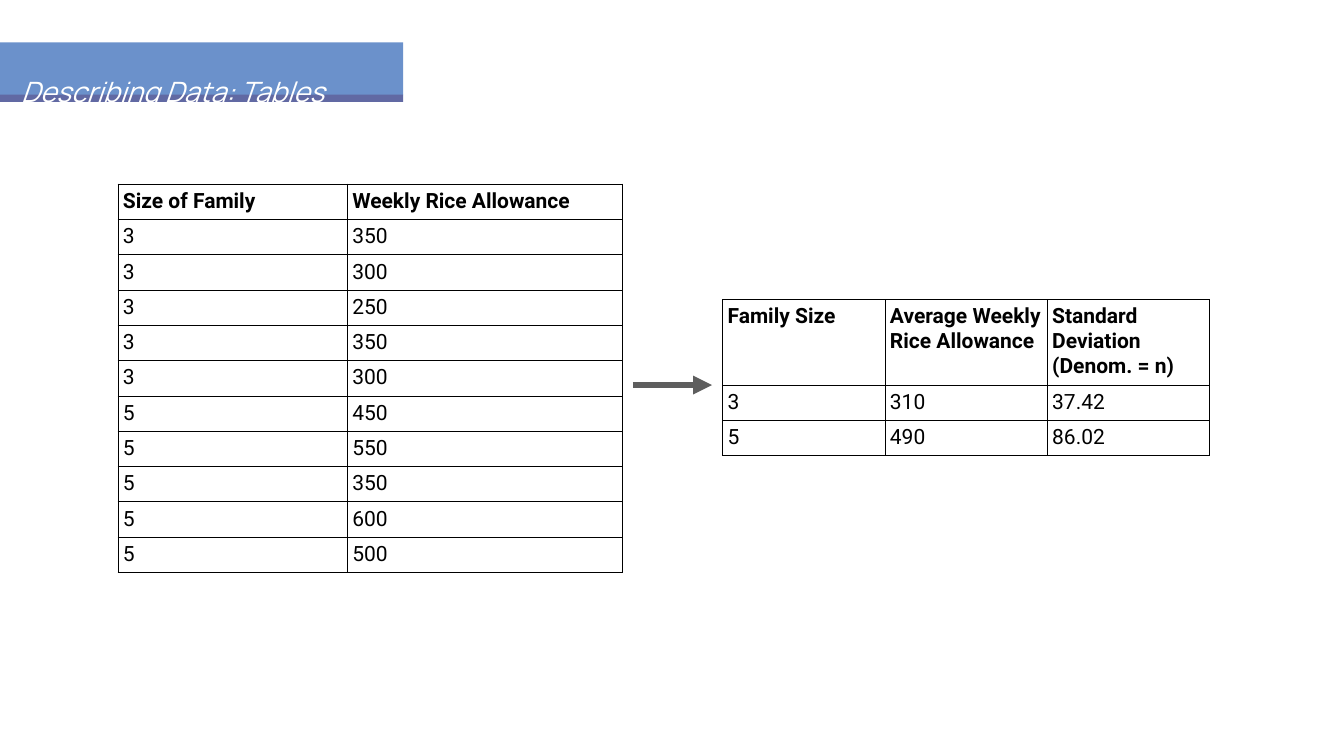
from lxml import etree
from pptx import Presentation
from pptx import util as u
from pptx.dml.color import RGBColor
from pptx.enum import shapes, text
from pptx.oxml import ns

WHITE = RGBColor(0xFF, 0xFF, 0xFF)
BLACK = RGBColor(0, 0, 0)
BLUE = RGBColor(0x6B, 0x91, 0xCB)
PURPLE = RGBColor(0x61, 0x69, 0xA3)
GREY = RGBColor(0x5E, 0x5E, 0x5E)


class Page:
    head_font = "Manrope"
    body_font = "Roboto"
    head_size = u.Pt(40)
    body_size = u.Pt(30)
    rule = u.Pt(0.75)

    def __init__(self, slide):
        self.slide = slide

    def banner(self, bars):
        group = self.slide.shapes.add_group_shape()
        for box, color in bars:
            bar = group.shapes.add_shape(
                shapes.MSO_SHAPE.RECTANGLE, *map(u.Inches, box))
            bar.shadow.inherit = False
            bar.fill.solid()
            bar.fill.fore_color.rgb = color
            bar.line.fill.background()

    def title(self, box, words):
        frame = self.slide.shapes.add_textbox(*map(u.Inches, box)).text_frame
        frame.word_wrap = True
        frame.vertical_anchor = text.MSO_ANCHOR.MIDDLE
        frame.margin_left = frame.margin_right = u.Inches(0.06)
        frame.margin_top = frame.margin_bottom = u.Inches(0.06)
        line = frame.paragraphs[0]
        line.text = words
        line.line_spacing = 1.73
        self.style(line, self.head_font, self.head_size, WHITE)
        line.font.italic = True

    def style(self, line, name, size, color):
        line.font.name = name
        line.font.size = size
        line.font.color.rgb = color

    def table(self, left, top, widths, height, rows):
        table = self.slide.shapes.add_table(
            len(rows), len(widths), u.Inches(left), u.Inches(top),
            u.Inches(sum(widths)), u.Inches(height * len(rows))).table
        table.first_row = table.horz_banding = False
        for col, width in zip(table.columns, widths):
            col.width = u.Inches(width)
        for r, row in enumerate(rows):
            table.rows[r].height = u.Inches(height)
            for c, value in enumerate(row):
                self.cell(table.cell(r, c), str(value), r == 0)

    def cell(self, cell, words, bold):
        cell.margin_left = cell.margin_right = u.Inches(0.1)
        cell.margin_top = cell.margin_bottom = u.Inches(0.1)
        line = cell.text_frame.paragraphs[0]
        line.text = words
        self.style(line, self.body_font, self.body_size, BLACK)
        line.font.bold = bold
        props = cell._tc.get_or_add_tcPr()
        for side in "LRTB":
            edge = etree.SubElement(
                props, ns.qn(f"a:ln{side}"), w=str(self.rule))
            fill = etree.SubElement(edge, ns.qn("a:solidFill"))
            etree.SubElement(fill, ns.qn("a:srgbClr"), val=str(BLACK))
        cell.fill.background()

    def arrow(self, start, end, color, width):
        arrow = self.slide.shapes.add_connector(
            shapes.MSO_CONNECTOR.STRAIGHT, *map(u.Inches, start + end))
        arrow.line.color.rgb = color
        arrow.line.width = u.Pt(width)
        etree.SubElement(
            arrow.line._get_or_add_ln(), ns.qn("a:tailEnd"), type="triangle")
        etree.SubElement(arrow._element.spPr, ns.qn("a:effectLst"))


def main():
    deck = Presentation()
    deck.slide_width = u.Inches(26.67)
    deck.slide_height = u.Inches(15)
    page = Page(deck.slides.add_slide(deck.slide_layouts[6]))

    page.banner([((0, 0.84, 8, 1.05), BLUE), ((0, 1.88, 8, 0.14), PURPLE)])
    page.title((0.36, 1.15, 7.44, 0.84), "Describing Data: Tables")

    rice = {3: [350, 300, 250, 350, 300], 5: [450, 550, 350, 600, 500]}
    page.table(2.34, 3.65, [4.55, 5.46], 0.42, [
        ("Size of Family", "Weekly Rice Allowance"),
        *((size, grams) for size, group in rice.items() for grams in group),
    ])
    page.table(14.34, 5.94, [3.22] * 3, 0.43, [
        ("Family Size", "Average Weekly Rice Allowance",
         "Standard Deviation (Denom. = n)"),
        (3, 310, 37.42),
        (5, 490, 86.02),
    ])
    page.arrow((12.56, 7.64), (14.13, 7.64), GREY, 9)

    deck.save("out.pptx")


if __name__ == "__main__":
    main()
